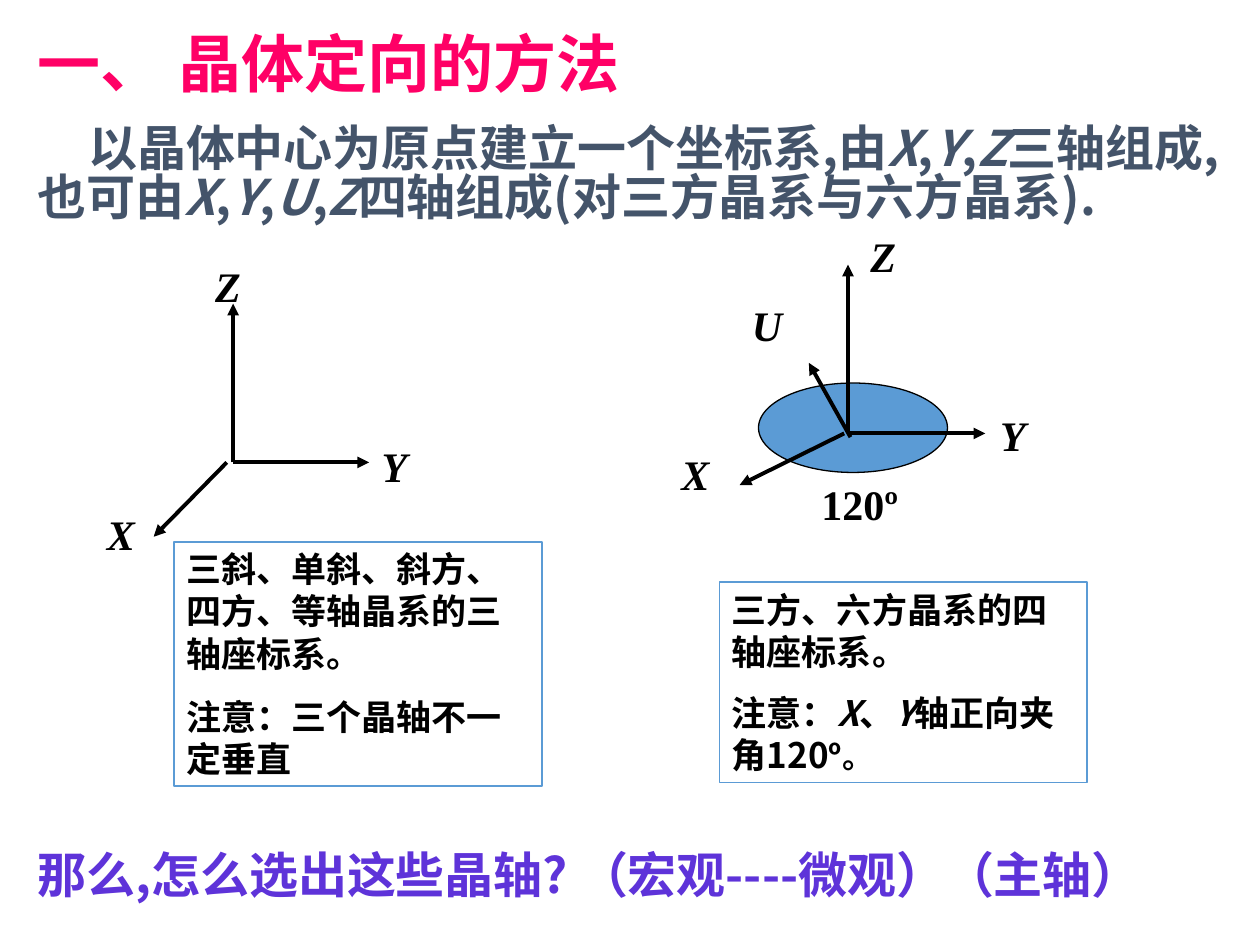
import pptx
import pptx.util
import pptx.dml.color
import pptx.enum.shapes
import pptx.enum.text
import pptx.oxml.ns
import lxml.etree

Inches = pptx.util.Inches
Pt = pptx.util.Pt
qualified = pptx.oxml.ns.qn


class CrystalSlide:
    COLOURS = {
        "heading": "FF0066",
        "body": "44546A",
        "question": "5E33D9",
        "ink": "000000",
        "paper": "FFFFFF",
        "accent": "5B9BD5",
    }
    CHINESE = "Noto Sans CJK SC"
    LATIN = "Times New Roman"

    def __init__(self, deck):
        self.page = deck.slides.add_slide(deck.slide_layouts[0])

    def colour(self, name):
        return pptx.dml.color.RGBColor.from_string(self.COLOURS[name])

    def place(self, box, left, top, width, height):
        box.left, box.top = Inches(left), Inches(top)
        box.width, box.height = Inches(width), Inches(height)

    def frame(self, box):
        frame = box.text_frame
        frame.word_wrap = True
        frame.auto_size = pptx.enum.text.MSO_AUTO_SIZE.NONE
        frame.vertical_anchor = pptx.enum.text.MSO_ANCHOR.TOP
        return frame

    def add_spans(self, para, text, size, colour, font=CHINESE, spacing=None, italics=""):
        para.alignment = pptx.enum.text.PP_ALIGN.LEFT
        if spacing:
            para.line_spacing = Pt(spacing)
        pieces = [""]
        for letter in text:
            if letter in italics:
                pieces += [letter, ""]
            else:
                pieces[-1] += letter
        for piece in filter(None, pieces):
            span = para.add_run()
            span.text = piece
            span.font.name = font
            span.font.size = Pt(size)
            span.font.bold = True
            span.font.italic = piece in italics
            span.font.color.rgb = self.colour(colour)
            latin = span._r.rPr.find(qualified("a:latin"))
            latin.addnext(lxml.etree.Element(qualified("a:ea"), typeface=font))

    def placeholder(self, box, at, text, size, colour, spacing, italics="", indent=0):
        self.place(box, *at)
        para = self.frame(box).paragraphs[0]
        para.space_before = Pt(0)
        if indent:
            para._p.get_or_add_pPr().set("indent", str(Inches(indent)))
        self.add_spans(para, text, size, colour, spacing=spacing, italics=italics)

    def text(self, at, text, size, colour, font=CHINESE, italics=""):
        box = self.page.shapes.add_textbox(*map(Inches, at))
        para = self.frame(box).paragraphs[0]
        self.add_spans(para, text, size, colour, font, italics=italics)

    def axis_label(self, text, left, top, width=0.5):
        self.text((left, top, width, 0.5), text, 24, "ink", self.LATIN, "XYZU")

    def shape(self, kind, at, fill, line, width):
        shape = self.page.shapes.add_shape(kind, *map(Inches, at))
        shape.shadow.inherit = False
        shape.fill.solid()
        shape.fill.fore_color.rgb = self.colour(fill)
        shape.line.color.rgb = self.colour(line)
        shape.line.width = Pt(width)
        return shape

    def note(self, at, texts, gap):
        kind = pptx.enum.shapes.MSO_SHAPE.RECTANGLE
        frame = self.frame(self.shape(kind, at, "paper", "accent", 1))
        for number, text in enumerate(texts):
            para = frame.add_paragraph() if number else frame.paragraphs[0]
            if number:
                para.space_before = Pt(gap)
            self.add_spans(para, text, 20, "ink", spacing=24, italics="XY")
        return frame

    def arrow(self, start, end):
        arrow = self.page.shapes.add_connector(
            pptx.enum.shapes.MSO_CONNECTOR.STRAIGHT, *map(Inches, start + end)
        )
        arrow.line.color.rgb = self.colour("ink")
        arrow.line.width = Pt(2.25)
        properties = arrow._element.spPr
        outline = properties.find(qualified("a:ln"))
        lxml.etree.SubElement(outline, qualified("a:tailEnd"), type="triangle")
        lxml.etree.SubElement(properties, qualified("a:effectLst"))


def main():
    deck = pptx.Presentation()
    deck.slide_width, deck.slide_height = Inches(10), Inches(7.5)
    slide = CrystalSlide(deck)
    title, body = slide.page.placeholders

    slide.placeholder(
        title, (0.2, 0.16, 9.53, 0.75), "一、 晶体定向的方法", 36, "heading", 42
    )
    slide.placeholder(
        body,
        (0.2, 0.96, 9.53, 1.3),
        "以晶体中心为原点建立一个坐标系,由X,Y,Z三轴组成,"
        "也可由X,Y,U,Z四轴组成(对三方晶系与六方晶系).",
        28,
        "body",
        28,
        italics="XYZU",
        indent=0.4,
    )
    slide.text(
        (0.2, 6.65, 9.53, 0.66),
        "那么,怎么选出这些晶轴? （宏观----微观）（主轴）",
        28,
        "question",
    )

    oval = pptx.enum.shapes.MSO_SHAPE.OVAL
    slide.shape(oval, (6.02, 3.04, 1.5, 0.71), "accent", "ink", 0.75)

    for start, end in (
        ((1.85, 3.67), (1.85, 2.41)),
        ((1.85, 3.67), (2.93, 3.67)),
        ((1.8, 3.67), (1.22, 4.26)),
        ((6.73, 3.44), (6.73, 2.1)),
        ((6.73, 3.44), (7.82, 3.44)),
        ((6.7, 3.44), (5.87, 3.85)),
        ((6.75, 3.47), (6.42, 2.88)),
    ):
        slide.arrow(start, end)

    for text, left, top in (
        ("Z", 1.61, 2.02),
        ("Y", 2.93, 3.45),
        ("X", 0.75, 3.99),
        ("Z", 6.81, 1.78),
        ("Y", 7.84, 3.2),
        ("X", 5.31, 3.51),
        ("U", 5.87, 2.33),
    ):
        slide.axis_label(text, left, top)
    slide.axis_label("120º", 6.42, 3.75, 0.92)

    slide.note(
        (1.38, 4.3, 2.92, 1.94),
        ("三斜、单斜、斜方、四方、等轴晶系的三轴座标系。", "注意：三个晶轴不一定垂直"),
        12.5,
    )
    angle_note = slide.note(
        (5.71, 4.62, 2.92, 1.59),
        ("三方、六方晶系的四轴座标系。", "注意：X、Y轴正向夹角120"),
        11.2,
    )
    slide.add_spans(angle_note.paragraphs[-1], "º。", 18, "ink", spacing=24)

    deck.save("out.pptx")


if __name__ == "__main__":
    main()
